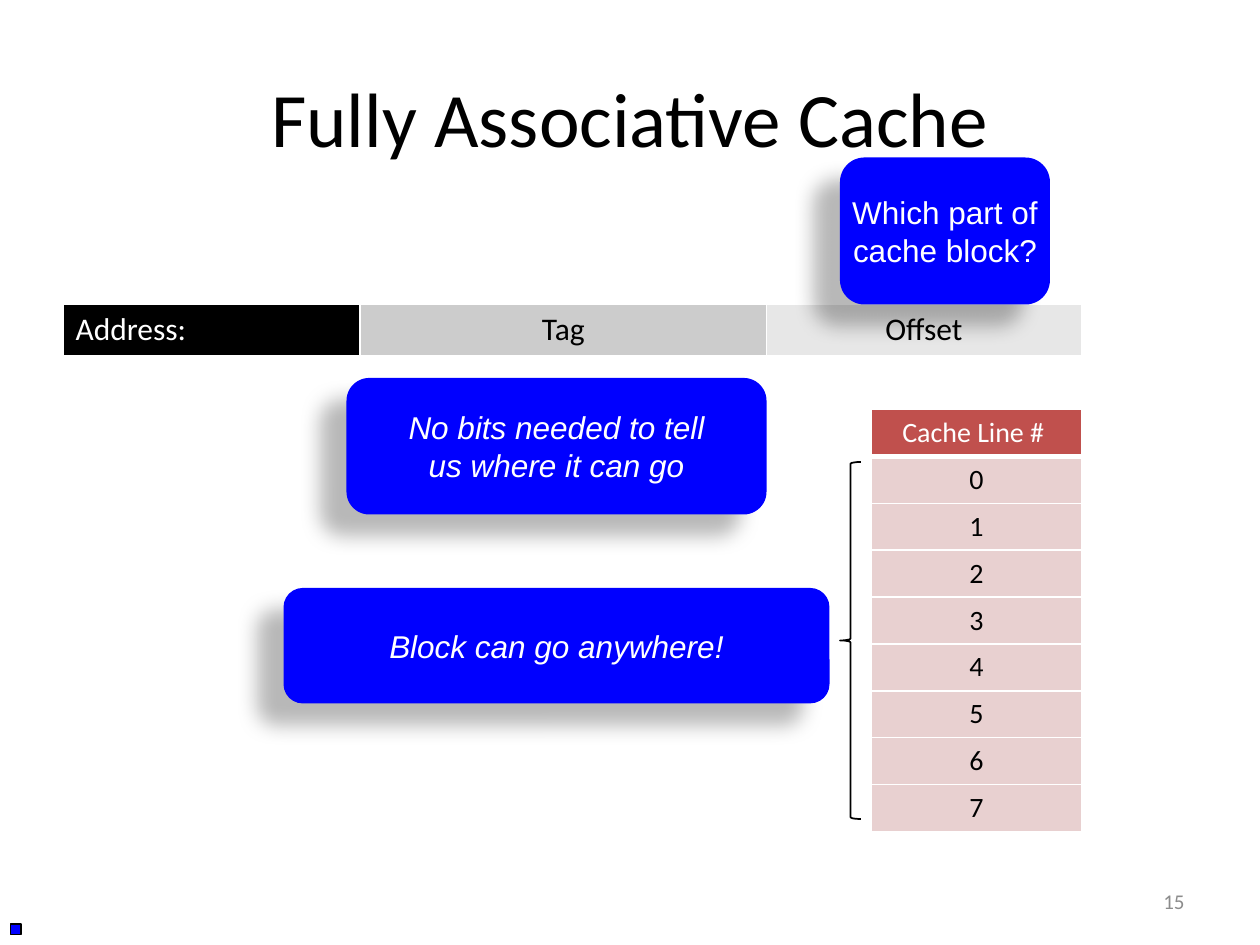
from pptx import Presentation, util as u
from pptx.dml.color import RGBColor
from pptx.enum import shapes as es, text as et
from pptx.oxml import parse_xml
from pptx.oxml.ns import nsdecls, qn

# Grid: 120 columns by 90 rows, one unit is 1/12 inch
UNIT = u.Inches(1) / 12
HUE = {"ink": "000000", "paper": "FFFFFF", "blue": "0000FF", "red": "C0504D",
       "rose": "E8D0D0", "mid": "CCCCCC", "pale": "E7E7E7", "gray": "8C8C8C"}
MID = et.PP_ALIGN.CENTER
SHAPE = es.MSO_SHAPE


def grid(*nums):
    return [u.Emu(round(n * UNIT)) for n in nums]


def rgb(name):
    return RGBColor.from_string(HUE[name])


def write(frame, words, size, hue="ink", face="Calibri", align=MID, **fmt):
    frame.vertical_anchor = et.MSO_ANCHOR.MIDDLE
    para = frame.paragraphs[0]
    para.text = words
    para.alignment = align
    para.font.color.rgb = rgb(hue)
    for key, val in {"size": u.Pt(size), "name": face, **fmt}.items():
        setattr(para.font, key, val)


def shape(slide, kind, box, fill=None, line=None):
    item = slide.shapes.add_shape(kind, *grid(*box))
    item.shadow.inherit = False
    if fill:
        item.fill.solid()
        item.fill.fore_color.rgb = rgb(fill)
    else:
        item.fill.background()
    if line:
        item.line.color.rgb = rgb("ink")
        item.line.width = u.Pt(line)
    else:
        item.line.fill.background()
    return item


def callout(slide, box, words, italic=True):
    item = shape(slide, SHAPE.ROUNDED_RECTANGLE, box, "blue")
    item.text_frame.word_wrap = False
    write(item.text_frame, words, 18, "paper", "Arial", italic=italic)
    # Soft shadow, down and to the left
    glow = item._element.spPr.find(qn("a:effectLst"))
    glow.append(parse_xml(
        f'<a:outerShdw {nsdecls("a")} blurRad="{u.Pt(11.8)}" dist="{u.Pt(19.7)}" '
        f'dir="{141 * 60000}" algn="ctr" rotWithShape="0"><a:srgbClr val="{HUE["ink"]}">'
        '<a:alpha val="28000"/></a:srgbClr></a:outerShdw>'))


def border(cell, low=1):
    props = cell._tc.get_or_add_tcPr()
    sides = {"lnL": 1, "lnR": 1, "lnT": 1, "lnB": low}
    for spot, (tag, wide) in enumerate(sides.items()):
        props.insert(spot, parse_xml(
            f'<a:{tag} {nsdecls("a")} w="{u.Pt(wide)}"><a:solidFill>'
            f'<a:srgbClr val="{HUE["paper"]}"/></a:solidFill></a:{tag}>'))


def table(slide, left, top, cols, high, rows, size):
    """Each cell is (words, fill, text hue, alignment)."""
    box = grid(left, top, sum(cols), high * len(rows))
    tab = slide.shapes.add_table(len(rows), len(cols), *box).table
    for col, wide in zip(tab.columns, grid(*cols)):
        col.width = wide
    for r, row in enumerate(rows):
        tab.rows[r].height = grid(high)[0]
        for c, (words, fill, hue, align) in enumerate(row):
            cell = tab.cell(r, c)
            cell.fill.solid()
            cell.fill.fore_color.rgb = rgb(fill)
            write(cell.text_frame, words, size, hue, align=align)
            cell.vertical_anchor = et.MSO_ANCHOR.TOP
            border(cell, 3 if r == 0 and len(rows) > 1 else 1)


def heading(slide, box):
    title = slide.shapes.title
    title.left, title.top, title.width, title.height = grid(*box)
    write(title.text_frame, "Fully Associative Cache", 44)


def address(slide, left, top):
    table(slide, left, top, [28.3, 38.7, 30], 4.9, [[
        ("Address:", "ink", "paper", et.PP_ALIGN.LEFT),
        ("Tag", "mid", "ink", MID), ("Offset", "pale", "ink", MID)]], 18)
    callout(slide, (left + 74, top - 14, 20, 14), "Which part of\ncache block?", False)


def lines(slide, left, top):
    head = [("Cache Line # ", "red", "paper", MID)]
    body = [[(str(n), "rose", "ink", MID)] for n in range(8)]
    table(slide, left, top, [20], 4.4, [head] + body, 16)
    # Brace over all the lines, with its remark
    shape(slide, SHAPE.LEFT_BRACE, (left - 3, top + 5, 2, 34), line=1)
    callout(slide, (left - 56, top + 17, 52, 11), "Block can go anywhere!")


def footer(slide, box):
    shape(slide, SHAPE.RECTANGLE, (1, 88, 1, 1), "blue", 0.75)
    num = slide.shapes.add_textbox(*grid(*box)).text_frame
    num.word_wrap = True
    write(num, "15", 12, "gray", align=et.PP_ALIGN.RIGHT)


def main():
    deck = Presentation()
    deck.slide_width, deck.slide_height = grid(120, 90)
    slide = deck.slides.add_slide(deck.slide_layouts[5])
    heading(slide, (6, 3.6, 108, 15))
    address(slide, 6, 29)
    lines(slide, 83, 39)
    callout(slide, (33, 36, 40, 13), "No bits needed to tell\nus where it can go")
    footer(slide, (86, 83.4, 28, 4.8))
    deck.save("out.pptx")


if __name__ == "__main__":
    main()
